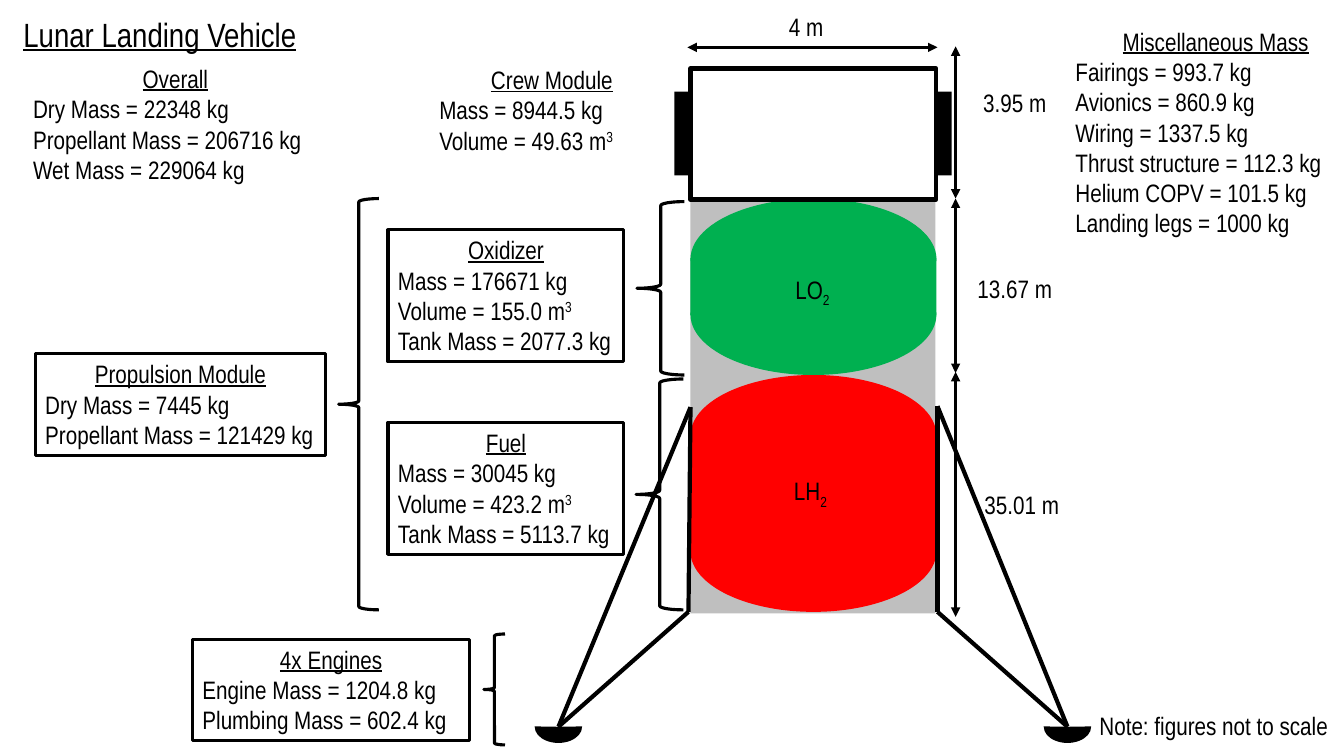
from dataclasses import dataclass
from typing import Any, NamedTuple, Optional

from lxml.etree import SubElement
from pptx import Presentation
from pptx.dml.color import RGBColor
from pptx.enum.shapes import MSO_CONNECTOR, MSO_SHAPE
from pptx.enum.text import MSO_AUTO_SIZE, PP_ALIGN
from pptx.oxml.ns import qn
from pptx.util import Emu, Inches, Pt

CELL = Inches(0.1)  # one column or row of the page grid
COLUMNS, ROWS = 133.33, 75


@dataclass(frozen=True)
class Theme:
    font: str = "Arial Narrow"
    ink: RGBColor = RGBColor(0, 0, 0)
    paper: RGBColor = RGBColor(255, 255, 255)
    hull: RGBColor = RGBColor(0xBF, 0xBF, 0xBF)
    oxidizer: RGBColor = RGBColor(0x00, 0xB0, 0x50)
    fuel: RGBColor = RGBColor(0xFF, 0x00, 0x00)
    title_size: Pt = Pt(24)
    body_size: Pt = Pt(18)
    thin: Pt = Pt(2.25)
    thick: Pt = Pt(3)


THEME = Theme()


class Area(NamedTuple):
    column: float
    row: float
    columns: float
    rows: float


class Point(NamedTuple):
    column: float
    row: float


@dataclass(frozen=True)
class Panel:
    area: Area
    heading: str
    lines: tuple[str, ...]
    framed: bool = False


@dataclass(frozen=True)
class Label:
    area: Area
    text: str


@dataclass(frozen=True)
class Tank:
    top: float
    bottom: float
    color: RGBColor
    label: Label


@dataclass(frozen=True)
class Leg:
    upper_hip: Point
    lower_hip: Point
    foot: Point


HULL = Area(68.5, 19.85, 24.3, 41)
CABIN = Area(68.5, 6.8, 24.4, 13)
HATCHES = [Area(column, 9.1, 1.5, 8.3) for column in (66.9, 92.9)]
DOME_ROWS = 12
TANKS = [
    Tank(37.2, 60.7, THEME.fuel, Label(Area(77.3, 46.7, 6.2, 4), "LH_2")),
    Tank(19.7, 37.2, THEME.oxidizer, Label(Area(77.5, 26.7, 6.2, 4), "LO_2")),
]
LEGS = [
    Leg(Point(68.5, 40.4), Point(68.3, 60.7), Point(55.4, 72.1)),
    Leg(Point(93, 40.3), Point(93, 60.7), Point(105.9, 72.1)),
]
BRACES = [
    Area(33.6, 19.7, 4, 40.8),
    Area(48, 62.9, 2.1, 11),
    Area(63.1, 37.6, 4.7, 22.9),
    Area(63.2, 20, 4.7, 17.2),
]
DIMENSIONS = [
    (Point(93, 4.7), Point(68.2, 4.7)),
    (Point(94.8, 19.7), Point(94.8, 4.6)),
    (Point(94.8, 19.7), Point(94.8, 37)),
    (Point(94.8, 36.9), Point(94.8, 61.2)),
]
LABELS = [
    Label(Area(75.2, 0.6, 10.1, 4), "4 m "),
    Label(Area(95.9, 8.2, 10.1, 4), "3.95 m "),
    Label(Area(95.9, 26.6, 10.1, 4), "13.67 m "),
    Label(Area(96.6, 48.1, 10.1, 4), "35.01 m "),
    Label(Area(107.8, 70, 25.2, 4), "Note: figures not to scale "),
]
TITLE = Label(Area(1.1, 0.9, 29.5, 5), "Lunar Landing Vehicle")
PANELS = [
    Panel(Area(2.3, 5.8, 30.2, 13.1), "Overall",
          ("Dry Mass = 22348 kg", "Propellant Mass = 206716 kg", "Wet Mass = 229064 kg")),
    Panel(Area(42.6, 5.9, 24.3, 10.1), "Crew Module",
          ("Mass = 8944.5 kg", "Volume = 49.63 m^3")),
    Panel(Area(105.7, 2.1, 29.8, 22.2), "Miscellaneous Mass",
          ("Fairings = 993.7 kg", "Avionics = 860.9 kg", "Wiring = 1337.5 kg",
           "Thrust structure = 112.3 kg", "Helium COPV = 101.5 kg", "Landing legs = 1000 kg")),
    Panel(Area(38.5, 22.8, 23.4, 13.1), "Oxidizer",
          ("Mass = 176671 kg", "Volume = 155.0 m^3", "Tank Mass = 2077.3 kg"), True),
    Panel(Area(38.5, 41.9, 23.4, 13.1), "Fuel",
          ("Mass = 30045 kg", "Volume = 423.2 m^3", "Tank Mass = 5113.7 kg"), True),
    Panel(Area(3.5, 35.1, 28.8, 10.1), "Propulsion Module",
          ("Dry Mass = 7445 kg", "Propellant Mass = 121429 kg"), True),
    Panel(Area(19.1, 63.4, 27.5, 10.1), "4x Engines",
          ("Engine Mass = 1204.8 kg", "Plumbing Mass = 602.4 kg"), True),
]


def grid(*cells: float) -> list[Emu]:
    return [Emu(round(cell * CELL)) for cell in cells]


def set_line(line: Any, width: Pt) -> None:
    line.color.rgb = THEME.ink
    line.width = width


def draw_shape(page: Any, kind: MSO_SHAPE, area: Area, fill: Optional[RGBColor] = None,
               outline: Optional[Pt] = None) -> Any:
    shape = page.shapes.add_shape(kind, *grid(*area))
    shape.shadow.inherit = False
    if fill is None:
        shape.fill.background()
    else:
        shape.fill.solid()
        shape.fill.fore_color.rgb = fill
    if outline is None:
        shape.line.fill.background()
    else:
        set_line(shape.line, outline)
    return shape


def draw_dome(page: Any, center: Point, width: float, height: float,
              rotation: int, fill: RGBColor) -> None:
    """Draw half an ellipse: rotation 90 gives the upper half, 270 the lower."""
    area = Area(center.column - height / 2, center.row - width / 2, height, width)
    dome = draw_shape(page, MSO_SHAPE.PIE, area, fill)
    for index, degrees in enumerate((89, 271)):
        dome.adjustments[index] = degrees * 0.6
    dome.rotation = rotation


def draw_line(page: Any, start: Point, end: Point, width: Pt, arrows: bool = False) -> None:
    line = page.shapes.add_connector(MSO_CONNECTOR.STRAIGHT, *grid(*start, *end))
    set_line(line.line, width)
    if arrows:
        for tag in ("a:headEnd", "a:tailEnd"):
            SubElement(line.line._get_or_add_ln(), qn(tag)).set("type", "triangle")
    SubElement(line._element.spPr, qn("a:effectLst"))


def write(para: Any, text: str, **changes: Any) -> None:
    """Write one paragraph, where ^ starts a superscript and _ a subscript."""
    formats = {"name": THEME.font, "size": THEME.body_size, **changes}
    mark = "^" if "^" in text else "_"
    base, _, script = text.partition(mark)
    for part in filter(None, (base, script)):
        span = para.add_run()
        span.text = part
        for name, value in formats.items():
            setattr(span.font, name, value)
        span.font.color.rgb = THEME.ink
    if script:
        span._r.get_or_add_rPr().set("baseline", "30000" if mark == "^" else "-25000")


def add_box(page: Any, area: Area, wrap: bool) -> Any:
    box = page.shapes.add_textbox(*grid(*area))
    box.text_frame.word_wrap = wrap
    box.text_frame.auto_size = MSO_AUTO_SIZE.SHAPE_TO_FIT_TEXT
    box.text_frame.paragraphs[0].alignment = PP_ALIGN.CENTER
    return box


def draw_label(page: Any, label: Label, **changes: Any) -> None:
    box = add_box(page, label.area, False)
    write(box.text_frame.paragraphs[0], label.text, **changes)


def draw_panel(page: Any, panel: Panel) -> None:
    box = add_box(page, panel.area, True)
    if panel.framed:
        set_line(box.line, THEME.thin)
    write(box.text_frame.paragraphs[0], panel.heading, underline=True)
    for line in panel.lines:
        write(box.text_frame.add_paragraph(), line)


def draw_tank(page: Any, tank: Tank) -> None:
    middle, half = CABIN.column + CABIN.columns / 2, DOME_ROWS / 2
    upper, lower = tank.top + half, tank.bottom - half
    for row, rotation in ((upper, 90), (lower, 270)):
        draw_dome(page, Point(middle, row), CABIN.columns, DOME_ROWS, rotation, tank.color)
    body = Area(CABIN.column, upper - 0.1, CABIN.columns, lower - upper + 0.2)
    draw_shape(page, MSO_SHAPE.RECTANGLE, body, tank.color)
    draw_label(page, tank.label)


def draw_leg(page: Any, leg: Leg) -> None:
    for start, end in ((leg.upper_hip, leg.foot), (leg.lower_hip, leg.foot),
                       (leg.upper_hip, leg.lower_hip)):
        draw_line(page, start, end, THEME.thick)
    draw_dome(page, leg.foot, 4.7, 3.2, 270, THEME.ink)


def main() -> None:
    deck = Presentation()
    deck.slide_width, deck.slide_height = grid(COLUMNS, ROWS)
    page = deck.slides.add_slide(deck.slide_layouts[6])
    draw_shape(page, MSO_SHAPE.RECTANGLE, HULL, THEME.hull)
    for tank in TANKS:
        draw_tank(page, tank)
    for leg in LEGS:
        draw_leg(page, leg)
    for brace in BRACES:
        draw_shape(page, MSO_SHAPE.LEFT_BRACE, brace, outline=THEME.thin)
    for start, end in DIMENSIONS:
        draw_line(page, start, end, THEME.thin, arrows=True)
    for hatch in HATCHES:
        draw_shape(page, MSO_SHAPE.RECTANGLE, hatch, THEME.ink)
    draw_shape(page, MSO_SHAPE.RECTANGLE, CABIN, THEME.paper, THEME.thick)
    draw_label(page, TITLE, size=THEME.title_size, underline=True)
    for label in LABELS:
        draw_label(page, label)
    for panel in PANELS:
        draw_panel(page, panel)
    deck.save("out.pptx")


if __name__ == "__main__":
    main()
